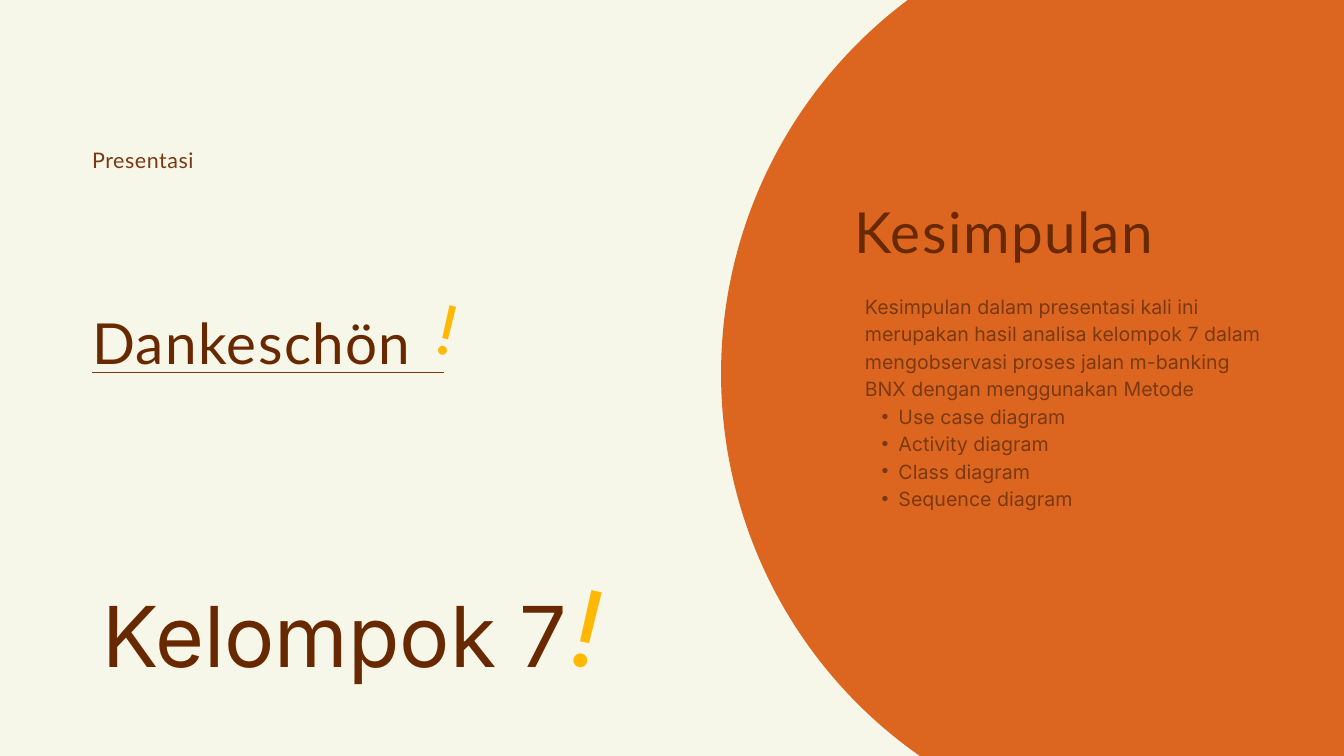
from lxml import etree
from pptx import Presentation
from pptx.dml.color import RGBColor
from pptx.enum import shapes, text
from pptx.oxml.ns import qn
from pptx.util import Inches, Pt

CREAM, ORANGE, YELLOW = "F6F6E9", "DC661F", "FFB905"
DARK_BROWN, BROWN = "692900", "7B3911"
LINE_RATIO = 1.4
SUMMARY = (
    "Kesimpulan dalam presentasi kali ini merupakan hasil analisa kelompok 7 "
    "dalam mengobservasi proses jalan m-banking BNX dengan menggunakan Metode"
)
METHODS = ["Use case diagram", "Activity diagram", "Class diagram", "Sequence diagram"]


def paint(target, color):
    """Give a fill or line format a solid colour."""
    target.solid()
    target.fore_color.rgb = RGBColor.from_string(color)


def add_circle(page, left, top, width, height, color):
    """Add a plain filled oval without outline."""
    circle = page.shapes.add_shape(
        shapes.MSO_SHAPE.OVAL, Inches(left), Inches(top), Inches(width), Inches(height)
    )
    circle.shadow.inherit = False
    paint(circle.fill, color)
    circle.line.fill.background()


def add_rule(page, left, right, y, color):
    """Add a thin horizontal line."""
    rule = page.shapes.add_connector(
        shapes.MSO_CONNECTOR.STRAIGHT, Inches(left), Inches(y), Inches(right), Inches(y)
    )
    paint(rule.line.fill, color)
    rule.line.width = Pt(0.75)
    etree.SubElement(rule._element.spPr, qn("a:effectLst"))


def add_text(page, place, lines, size, font, color, spacing=0, rotation=0):
    """Add a text box with one paragraph per line and return its paragraphs."""
    box = page.shapes.add_textbox(*(Inches(length) for length in place))
    box.rotation = rotation
    frame = box.text_frame
    frame.word_wrap = True
    frame.auto_size = text.MSO_AUTO_SIZE.SHAPE_TO_FIT_TEXT
    frame.margin_left = frame.margin_right = frame.margin_top = frame.margin_bottom = 0
    frame.text = "\n".join(lines)
    for para in frame.paragraphs:
        para.line_spacing = Pt(round(size * LINE_RATIO, 1))
        for span in para.runs:
            span.font.size = Pt(size)
            span.font.name = font
            span.font.color.rgb = RGBColor.from_string(color)
            if spacing:
                span._r.get_or_add_rPr().set("spc", str(round(spacing * 100)))
    return frame.paragraphs


def add_bullet(para):
    """Turn a paragraph into an indented bullet item."""
    para.level = 1
    properties = para._p.get_or_add_pPr()
    properties.set("marL", str(Inches(0.5)))
    properties.set("indent", str(Inches(-0.25)))
    etree.SubElement(properties, qn("a:buFont"), typeface="Arial")
    etree.SubElement(properties, qn("a:buChar"), char="•")


def main():
    """Build the closing slide and save it."""
    deck = Presentation()
    deck.slide_width, deck.slide_height = Inches(20), Inches(11.25)
    page = deck.slides.add_slide(deck.slide_layouts[6])
    paint(page.background.fill, CREAM)

    add_circle(page, 10.73, -1.37, 13.79, 13.86, ORANGE)
    add_text(page, (1.37, 4.42, 8.63, 1.13), ["Dankeschön"], 60.6, "Lato", DARK_BROWN, 1.6)
    add_text(page, (1.37, 2.13, 4.7, 0.43), ["Presentasi"], 23, "Lato", BROWN, 0.6)
    add_rule(page, 1.37, 6.61, 5.54, BROWN)

    add_text(page, (12.71, 2.77, 8.63, 1.13), ["Kesimpulan"], 60.6, "Lato", DARK_BROWN, 1.6)
    summary = add_text(page, (12.87, 4.33, 6.01, 3.24), [SUMMARY, *METHODS], 21, "Inter", BROWN)
    for para in summary[1:]:
        add_bullet(para)

    group = add_text(page, (1.12, 8.44, 7.73, 1.69), ["Kelompok 7"], 90, "Inter", DARK_BROWN)
    group[0].alignment = text.PP_ALIGN.CENTER
    add_text(page, (6.54, 4.16, 1.03, 1.37), ["!"], 73, "Inter", YELLOW, rotation=13.2)
    add_text(page, (8.57, 8.18, 1.61, 2.14), ["!"], 113.9, "Inter", YELLOW, rotation=13.2)

    deck.save("out.pptx")


if __name__ == "__main__":
    main()
